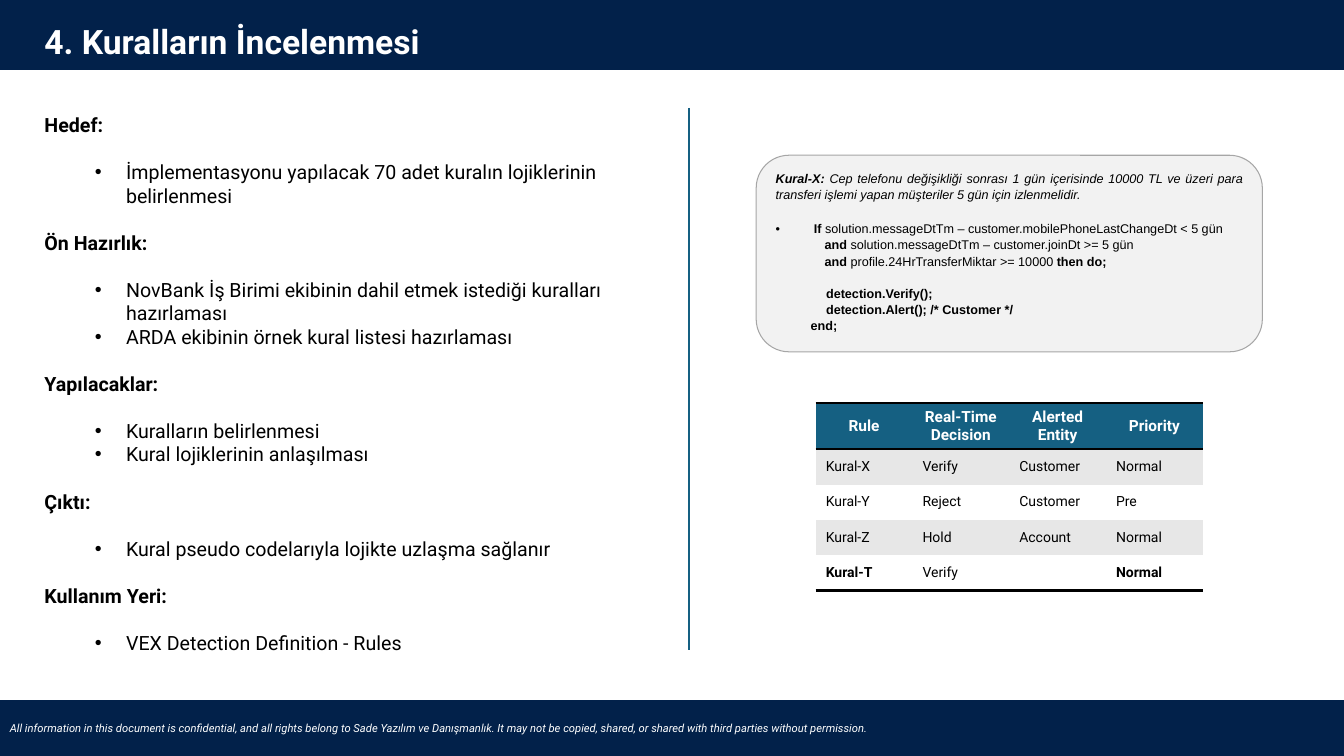
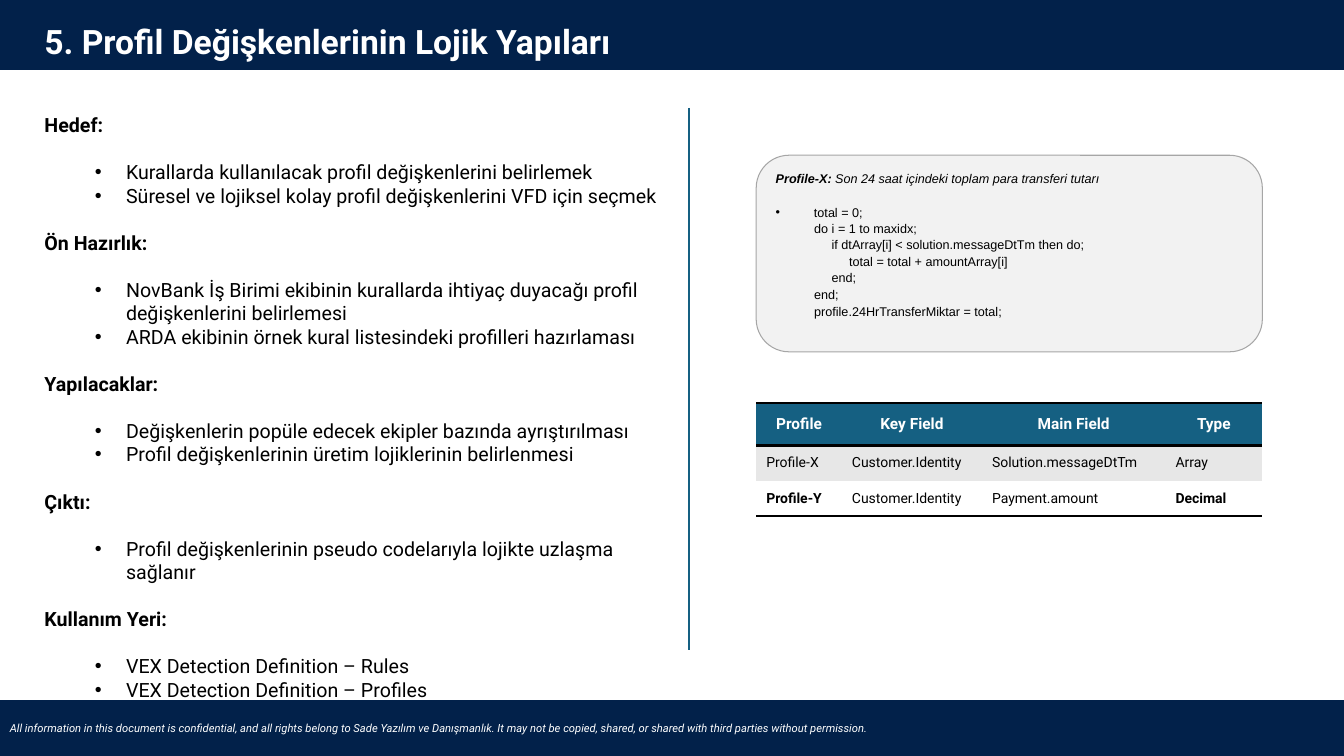
from lxml import etree
from pptx import Presentation
from pptx.dml.color import RGBColor
from pptx.enum.shapes import MSO_CONNECTOR, MSO_SHAPE
from pptx.enum.text import MSO_ANCHOR, MSO_AUTO_SIZE, PP_ALIGN
from pptx.oxml.ns import qn
from pptx.util import Inches, Pt

RECT, ROUNDED = MSO_SHAPE.RECTANGLE, MSO_SHAPE.ROUNDED_RECTANGLE
STRAIGHT = MSO_CONNECTOR.STRAIGHT
TOP, MIDDLE = MSO_ANCHOR.TOP, MSO_ANCHOR.MIDDLE
LEFT, CENTER, JUSTIFY = PP_ALIGN.LEFT, PP_ALIGN.CENTER, PP_ALIGN.JUSTIFY
NO_AUTOFIT = MSO_AUTO_SIZE.NONE

COLORS = {"navy": "02214A", "teal": "156082", "white": "FFFFFF", "black": "000000",
          "panel": "F2F2F2", "panel_edge": "A6A6A6", "stripe": "E7E7E7"}
SANS, CODE = "Roboto", "Arial"
SLIDE_W, SLIDE_H = 13.33, 7.5
SECTION_GAP, RULE_GAP = 16.8, 12.8
HEADER_H, ROW_H = 0.42, 0.35

FOOTER = ("All information in this document is confidential, and all rights belong to "
          "Sade Yazılım ve Danışmanlık. It may not be copied, shared, or shared with "
          "third parties without permission.")

SLIDES = [
    {
        "title": "4. Kuralların İncelenmesi",
        "sections": [
            ("Hedef:", ["İmplementasyonu yapılacak 70 adet kuralın lojiklerinin belirlenmesi"]),
            ("Ön Hazırlık:", [
                "NovBank İş Birimi ekibinin dahil etmek istediği kuralları hazırlaması",
                "ARDA ekibinin örnek kural listesi hazırlaması"]),
            ("Yapılacaklar:", ["Kuralların belirlenmesi", "Kural lojiklerinin anlaşılması"]),
            ("Çıktı:", ["Kural pseudo codelarıyla lojikte uzlaşma sağlanır"]),
            ("Kullanım Yeri:", ["VEX Detection Definition - Rules"]),
        ],
        "summary": [
            ("Kural-X:", True),
            (" Cep telefonu değişikliği sonrası 1 gün içerisinde 10000 TL ve üzeri para "
             "transferi işlemi yapan müşteriler 5 gün için izlenmelidir.", False)],
        "code": [
            (RULE_GAP, [("If ", True),
                        ("solution.messageDtTm – customer.mobilePhoneLastChangeDt < 5 gün", False)]),
            (0, [("              and ", True),
                 ("solution.messageDtTm – customer.joinDt >= 5 gün", False)]),
            (0, [("              and", True), (" profile.24HrTransferMiktar >= 10000 ", False),
                 ("then do;", True)]),
            (11.6, [("\tdetection.Verify();", True)]),
            (0, [("\tdetection.Alert(); /* Customer */", True)]),
            (0, [("          end;", True)]),
        ],
        "table_left": 8.09,
        "columns": [0.96] * 4,
        "rows": [
            ("Rule", "Real-Time Decision", "Alerted Entity", "Priority"),
            ("Kural-X", "Verify", "Customer", "Normal"),
            ("Kural-Y", "Reject", "Customer", "Pre"),
            ("Kural-Z", "Hold", "Account", "Normal"),
            ("Kural-T", "Verify", "", "Normal"),
        ],
    },
    {
        "title": "5. Profil Değişkenlerinin Lojik Yapıları",
        "sections": [
            ("Hedef:", [
                "Kurallarda kullanılacak profil değişkenlerini belirlemek",
                "Süresel ve lojiksel kolay profil değişkenlerini VFD için seçmek"]),
            ("Ön Hazırlık:", [
                "NovBank İş Birimi ekibinin kurallarda ihtiyaç duyacağı profil "
                "değişkenlerini belirlemesi",
                "ARDA ekibinin örnek kural listesindeki profilleri hazırlaması"]),
            ("Yapılacaklar:", [
                "Değişkenlerin popüle edecek ekipler bazında ayrıştırılması",
                "Profil değişkenlerinin üretim lojiklerinin belirlenmesi"]),
            ("Çıktı:", ["Profil değişkenlerinin pseudo codelarıyla lojikte uzlaşma sağlanır"]),
            ("Kullanım Yeri:", [
                "VEX Detection Definition – Rules",
                "VEX Detection Definition – Profiles"]),
        ],
        "summary": [("Profile-X:", True),
                    (" Son 24 saat içindeki toplam para transferi tutarı", False)],
        "code": [
            (RULE_GAP, [("total = 0;", False)]),
            (0, [("           do i = 1 to maxidx;", False)]),
            (0, [("                if dtArray[i] < solution.messageDtTm then do;", False)]),
            (0, [("                     total = total + amountArray[i]", False)]),
            (0, [("                end;", False)]),
            (1, [("           end;", False)]),
            (0, [("           profile.24HrTransferMiktar = total;", False)]),
        ],
        "table_left": 7.5,
        "columns": [0.85, 1.39, 1.82, 0.96],
        "rows": [
            ("Profile", "Key Field", "Main Field", "Type"),
            ("Profile-X", "Customer.Identity", "Solution.messageDtTm", "Array"),
            ("Profile-Y", "Customer.Identity", "Payment.amount", "Decimal"),
        ],
    },
]


def color(name):
    return RGBColor.from_string(COLORS[name])


def style(paragraph, size, ink="black", face=SANS, bold=False, italic=False):
    font = paragraph.font
    font.size, font.name, font.bold, font.italic = Pt(size), face, bold, italic
    font.color.rgb = color(ink)


def set_bullet(paragraph, margin=0, hanging=0):
    props = paragraph._p.get_or_add_pPr()
    props.set("marL", str(Inches(margin)))
    props.set("indent", str(-Inches(hanging)))
    if hanging:
        etree.SubElement(props, qn("a:buFont")).set("typeface", "Arial")
        etree.SubElement(props, qn("a:buChar")).set("char", "•")
    else:
        etree.SubElement(props, qn("a:buNone"))


def place(shape, left, top, width, height):
    shape.left, shape.top = Inches(left), Inches(top)
    shape.width, shape.height = Inches(width), Inches(height)


def next_paragraph(frame, first):
    return frame.paragraphs[0] if first else frame.add_paragraph()


def add_panel(slide, kind, box, fill, edge, edge_width):
    panel = slide.shapes.add_shape(kind, *map(Inches, box))
    panel.shadow.inherit = False
    panel.fill.solid()
    panel.fill.fore_color.rgb = color(fill)
    panel.line.color.rgb = color(edge)
    panel.line.width = Pt(edge_width)
    panel.text_frame.word_wrap = True
    return panel


def add_bands(slide):
    header = add_panel(slide, RECT, (0, 0, SLIDE_W, 0.68), "navy", "navy", 1.5)
    footer = add_panel(slide, RECT, (0, 6.95, SLIDE_W, 0.55), "navy", "navy", 1.5)
    footer.text_frame.vertical_anchor = MIDDLE
    notice = footer.text_frame.paragraphs[0]
    notice.text, notice.alignment = FOOTER, LEFT
    style(notice, 8, "white", italic=True)
    for band in (header, footer):
        slide.shapes.element.insert(2, band.element)


def fill_title(title, text):
    place(title, 0.34, 0.16, 12.5, 0.5)
    frame = title.text_frame
    frame.auto_size, frame.vertical_anchor = NO_AUTOFIT, TOP
    heading = frame.paragraphs[0]
    heading.text, heading.alignment = text, LEFT
    style(heading, 24, "white", bold=True)


def fill_sections(body, sections):
    place(body, 0.34, 1.07, 6.49, 5.52)
    frame = body.text_frame
    frame.auto_size, frame.vertical_anchor = NO_AUTOFIT, TOP
    for number, (heading, items) in enumerate(sections):
        for position, text in enumerate([heading, *items]):
            is_heading = position == 0
            is_first = number == 0 and is_heading
            line = next_paragraph(frame, is_first)
            line.text = text
            if is_heading:
                set_bullet(line)
            else:
                line.level = 1
                set_bullet(line, 0.81, 0.31)
            line.space_before = Pt(SECTION_GAP if position < 2 and not is_first else 0)
            style(line, 14, bold=is_heading)


def add_divider(slide):
    divider = slide.shapes.add_connector(
        STRAIGHT, Inches(6.83), Inches(1.07), Inches(6.83), Inches(6.45))
    divider.line.color.rgb = color("teal")
    divider.line.width = Pt(1.5)
    etree.SubElement(divider.element.spPr, qn("a:effectLst"))


def add_code_panel(slide, summary, code):
    panel = add_panel(slide, ROUNDED, (7.5, 1.54, 5.02, 1.95), "panel", "panel_edge", 0.75)
    frame = panel.text_frame
    frame.vertical_anchor = TOP
    for number, (gap, segments) in enumerate([(0, summary), *code]):
        line = next_paragraph(frame, number == 0)
        if number == 1:
            set_bullet(line, 0.38, 0.38)
        line.alignment = LEFT if number else JUSTIFY
        line.line_spacing = 1.07
        line.space_before = Pt(gap)
        style(line, 9, face=CODE, italic=number == 0)
        for text, bold in segments:
            run = line.add_run()
            run.text, run.font.bold = text, bold


def set_borders(cell, ruled_sides):
    props = cell._tc.get_or_add_tcPr()
    for side in "LRTB":
        edge = etree.SubElement(props, qn("a:ln" + side))
        if side in ruled_sides:
            edge.set("w", str(Pt(2)))
            fill = etree.SubElement(edge, qn("a:solidFill"))
            etree.SubElement(fill, qn("a:srgbClr")).set("val", COLORS["black"])
        else:
            etree.SubElement(edge, qn("a:noFill"))


def add_grid(slide, left, columns, rows):
    heights = [HEADER_H] + [ROW_H] * (len(rows) - 1)
    table = slide.shapes.add_table(
        len(rows), len(columns), Inches(left), Inches(4),
        Inches(sum(columns)), Inches(sum(heights))).table
    table.first_row = table.horz_banding = False
    for column, width in zip(table.columns, columns):
        column.width = Inches(width)
    last_row, last_column = len(rows) - 1, len(columns) - 1
    for r, values in enumerate(rows):
        table.rows[r].height = Inches(heights[r])
        is_header = r == 0
        ruled_sides = ("T" if r < 2 else "") + ("B" if r in (0, last_row) else "")
        for c, value in enumerate(values):
            cell = table.cell(r, c)
            set_borders(cell, ruled_sides)
            cell.fill.solid()
            cell.fill.fore_color.rgb = color(
                "teal" if is_header else "stripe" if r % 2 else "white")
            cell.vertical_anchor = MIDDLE
            entry = cell.text_frame.paragraphs[0]
            entry.alignment = CENTER if is_header else LEFT
            bold = is_header or (r == last_row and c in (0, last_column))
            style(entry, 11 if is_header else 10, "white" if is_header else "black", bold=bold)
            if value:
                entry.add_run().text = value
            else:
                etree.SubElement(entry._p, qn("a:endParaRPr")).set("sz", "1000")


def main():
    deck = Presentation()
    deck.slide_width, deck.slide_height = Inches(SLIDE_W), Inches(SLIDE_H)
    for content in SLIDES:
        slide = deck.slides.add_slide(deck.slide_layouts[1])
        add_bands(slide)
        fill_title(slide.shapes.title, content["title"])
        fill_sections(slide.placeholders[1], content["sections"])
        add_divider(slide)
        add_code_panel(slide, content["summary"], content["code"])
        add_grid(slide, content["table_left"], content["columns"], content["rows"])
    deck.save("out.pptx")


if __name__ == "__main__":
    main()
